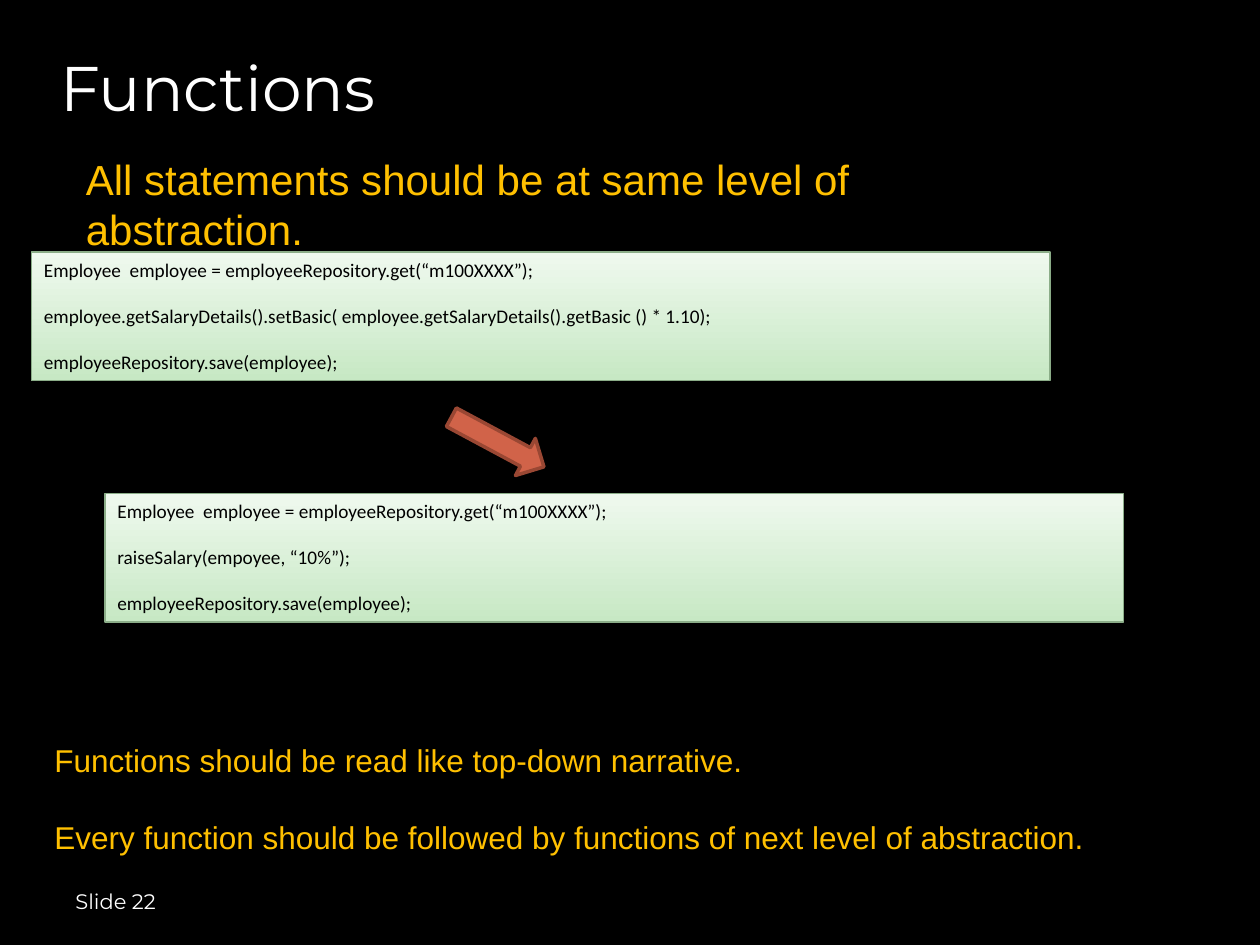
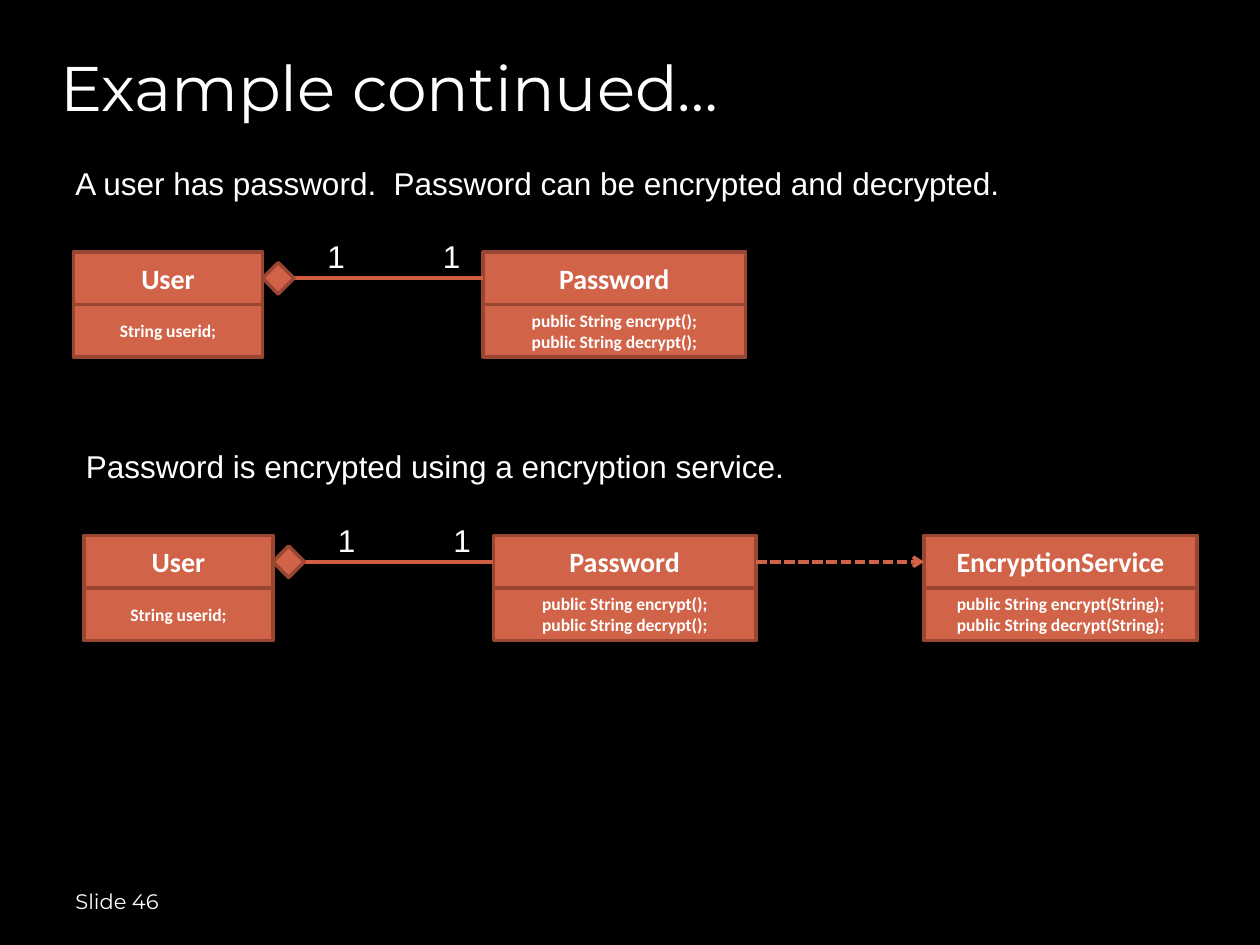
from dataclasses import dataclass
from lxml.etree import SubElement
from pptx import Presentation
from pptx.dml.color import RGBColor
from pptx.enum.dml import MSO_LINE
from pptx.enum.shapes import MSO_CONNECTOR, MSO_SHAPE
from pptx.enum.text import MSO_ANCHOR, PP_ALIGN
from pptx.oxml.ns import qn
from pptx.util import Inches, Pt


@dataclass(frozen=True)
class Style:
    font: str
    size: float
    color: str
    bold: bool = False
    gap: float = 0


@dataclass(frozen=True)
class Theme:
    back: str = "000000"
    fill: str = "D16349"
    edge: str = "994733"
    link: str = "D05F44"
    code_low: str = "C7E8C4"
    code_high: str = "EFF9EE"
    code_edge: str = "8BAD88"
    title: Style = Style("Montserrat", 36, "FFFFFF")
    footer: Style = Style("Montserrat", 12, "FFFFFF")
    lead: Style = Style("Arial", 24, "FFC000")
    advice: Style = Style("Arial", 18, "FFC000", gap=22.5)
    body: Style = Style("Arial", 18, "FFFFFF")
    code: Style = Style("Calibri", 11, "000000", gap=13)
    head: Style = Style("Calibri", 16, "FFFFFF", True)
    member: Style = Style("Calibri", 10, "FFFFFF", True)


T = Theme()
CELL = Inches(1) / 12

LEAD = "All statements should be at same level of abstraction."
SNIPPETS = [
    (3, 24, ["Employee  employee = employeeRepository.get(“m100XXXX”);",
             "employee.getSalaryDetails().setBasic( employee.getSalaryDetails().getBasic () * 1.10);",
             "employeeRepository.save(employee);"]),
    (10, 47, ["Employee  employee = employeeRepository.get(“m100XXXX”);",
              "raiseSalary(empoyee, “10%”);",
              "employeeRepository.save(employee);"]),
]
ADVICE = ["Functions should be read like top-down narrative.",
          "Every function should be followed by functions of next level of abstraction."]

USER = (1, 18, "User", ["String userid;"])
PASSWORD = (40, 25, "Password", ["public String encrypt();", "public String decrypt();"])
SERVICE = (81, 26, "EncryptionService",
           ["public String encrypt(String);", "public String decrypt(String);"])
DIAGRAMS = [
    (6, 15, "A user has password.  Password can be encrypted and decrypted.", [USER, PASSWORD]),
    (7, 42, "Password is encrypted using a encryption service.", [USER, PASSWORD, SERVICE]),
]
MULTIPLICITY_COLS = (24, 35)
ROW = 5


def rgb(color):
    return RGBColor.from_string(color)


def box(*cells):
    return [round(c * CELL) for c in cells]


def write(tf, lines, style, align=PP_ALIGN.LEFT, anchor=MSO_ANCHOR.TOP, wrap=True):
    tf.word_wrap = wrap
    tf.vertical_anchor = anchor
    for i, line in enumerate(lines):
        p = tf.add_paragraph() if i else tf.paragraphs[0]
        p.text = line
        p.alignment = align
        p.space_before = Pt(style.gap if i else 0)
        f = p.font
        f.name, f.size, f.bold = style.font, Pt(style.size), style.bold
        f.color.rgb = rgb(style.color)


def add_text(s, place, lines, style, **layout):
    write(s.shapes.add_textbox(*box(*place)).text_frame, lines, style, **layout)


def add_block(s, kind, place):
    sp = s.shapes.add_shape(kind, *box(*place))
    sp.shadow.inherit = False
    sp.fill.solid()
    sp.fill.fore_color.rgb = rgb(T.fill)
    sp.line.color.rgb = rgb(T.edge)
    sp.line.width = Pt(2)
    return sp


def add_snippet(s, col, row, lines):
    sp = add_block(s, MSO_SHAPE.RECTANGLE, (col, row, 97, 12.25))
    sp.fill.gradient()
    sp.fill.gradient_angle = 90
    for stop, color, position in zip(sp.fill.gradient_stops, (T.code_low, T.code_high), (0, 1)):
        stop.color.rgb = rgb(color)
        stop.position = position
    sp.line.color.rgb = rgb(T.code_edge)
    sp.line.width = Pt(0.75)
    write(sp.text_frame, lines, T.code)


def add_class(s, col, row, width, name, members):
    parts = []
    for i, (lines, style) in enumerate((([name], T.head), (members, T.member))):
        sp = add_block(s, MSO_SHAPE.RECTANGLE, (col, row + i * ROW, width, ROW))
        write(sp.text_frame, lines, style, PP_ALIGN.CENTER, MSO_ANCHOR.MIDDLE)
        parts.append(sp)
    return parts[0]


def join(s, left, right, color, width):
    c = s.shapes.add_connector(MSO_CONNECTOR.STRAIGHT, 0, 0, 0, 0)
    c.begin_connect(left, 3)
    c.end_connect(right, 1)
    c.line.color.rgb = rgb(color)
    c.line.width = Pt(width)
    SubElement(c._element.spPr, qn("a:effectLst"))
    return c


def add_diagram(s, col, row, caption, classes):
    add_text(s, (col, row, 101, 4.8), [caption], T.body)
    top = row + 9
    heads = [add_class(s, col + x, top, w, name, members) for x, w, name, members in classes]
    join(s, heads[0], heads[1], T.link, 2.25)
    for x in MULTIPLICITY_COLS:
        add_text(s, (col + x, top - 2, 4, 4.8), ["1"], T.body, wrap=False)
    add_block(s, MSO_SHAPE.DIAMOND, (col + USER[0] + USER[1], top + 1, 3, 3))
    for left, right in zip(heads[1:], heads[2:]):
        c = join(s, left, right, T.fill, 2)
        c.line.dash_style = MSO_LINE.SQUARE_DOT
        SubElement(c.line._get_or_add_ln(), qn("a:tailEnd"), type="arrow")


def add_slide(prs, title, number):
    s = prs.slides.add_slide(prs.slide_layouts[5])
    sp = s.shapes.title
    sp.left, sp.top, sp.width, sp.height = box(5, 4, 108, 8.4)
    tf = sp.text_frame
    tf.margin_left = tf.margin_right = Inches(0.06)
    tf.margin_top = tf.margin_bottom = 0
    write(tf, [title], T.title, anchor=MSO_ANCHOR.MIDDLE)
    add_text(s, (6, 83.4, 28, 4.8), [f"Slide {number}"], T.footer, anchor=MSO_ANCHOR.MIDDLE)
    return s


def main():
    prs = Presentation()
    prs.slide_width, prs.slide_height = Inches(10), Inches(7.5)
    back = prs.slide_master.background.fill
    back.solid()
    back.fore_color.rgb = rgb(T.back)

    s = add_slide(prs, "Functions", 22)
    add_text(s, (7, 14, 96.8, 6), [LEAD], T.lead, wrap=False)
    for snippet in SNIPPETS:
        add_snippet(s, *snippet)
    add_block(s, MSO_SHAPE.RIGHT_ARROW, (42.4, 40.1, 10, 4)).rotation = 28.2
    add_text(s, (4, 70, 107, 12), ADVICE, T.advice)

    s = add_slide(prs, "Example continued…", 46)
    for diagram in DIAGRAMS:
        add_diagram(s, *diagram)

    prs.save("out.pptx")


if __name__ == "__main__":
    main()
